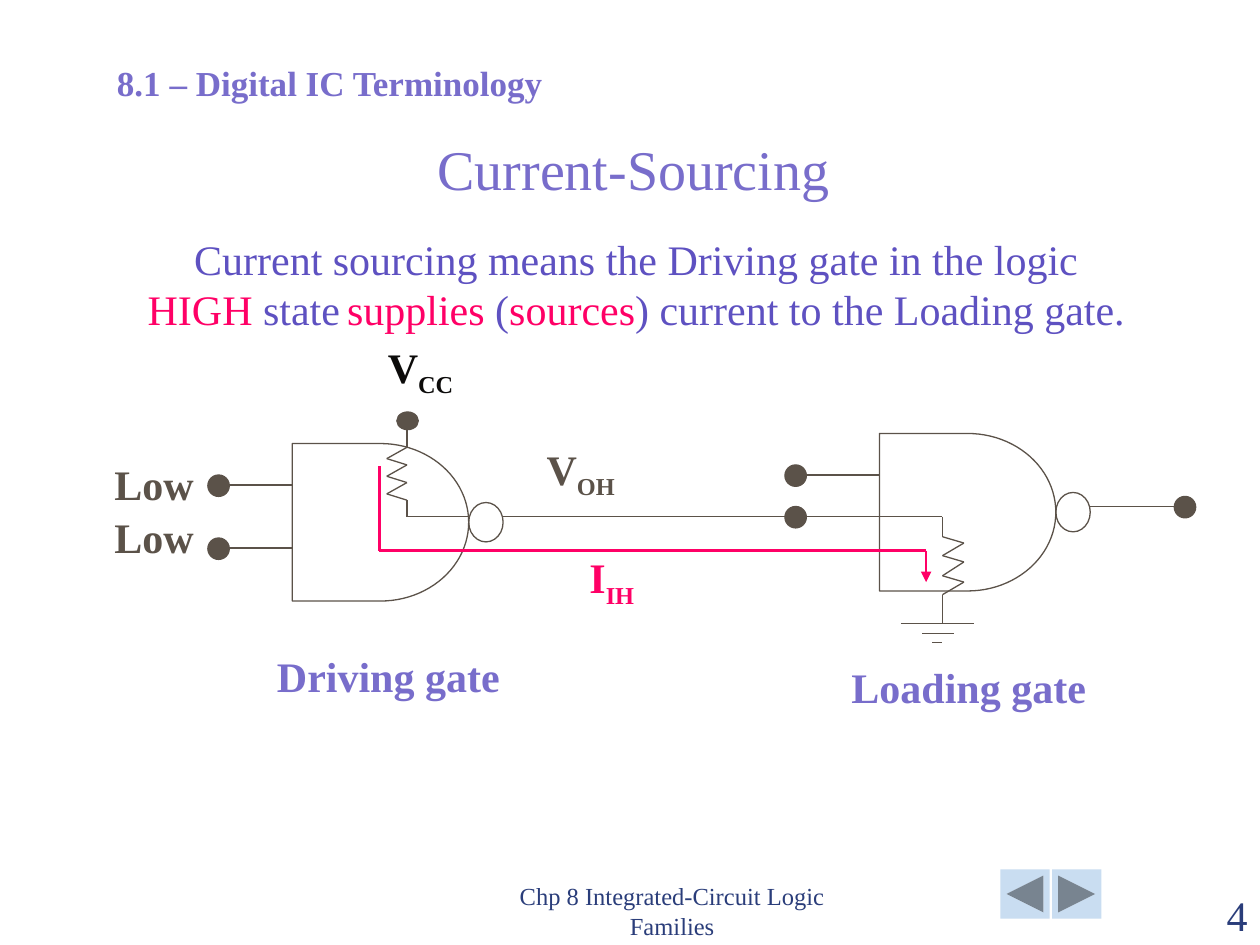
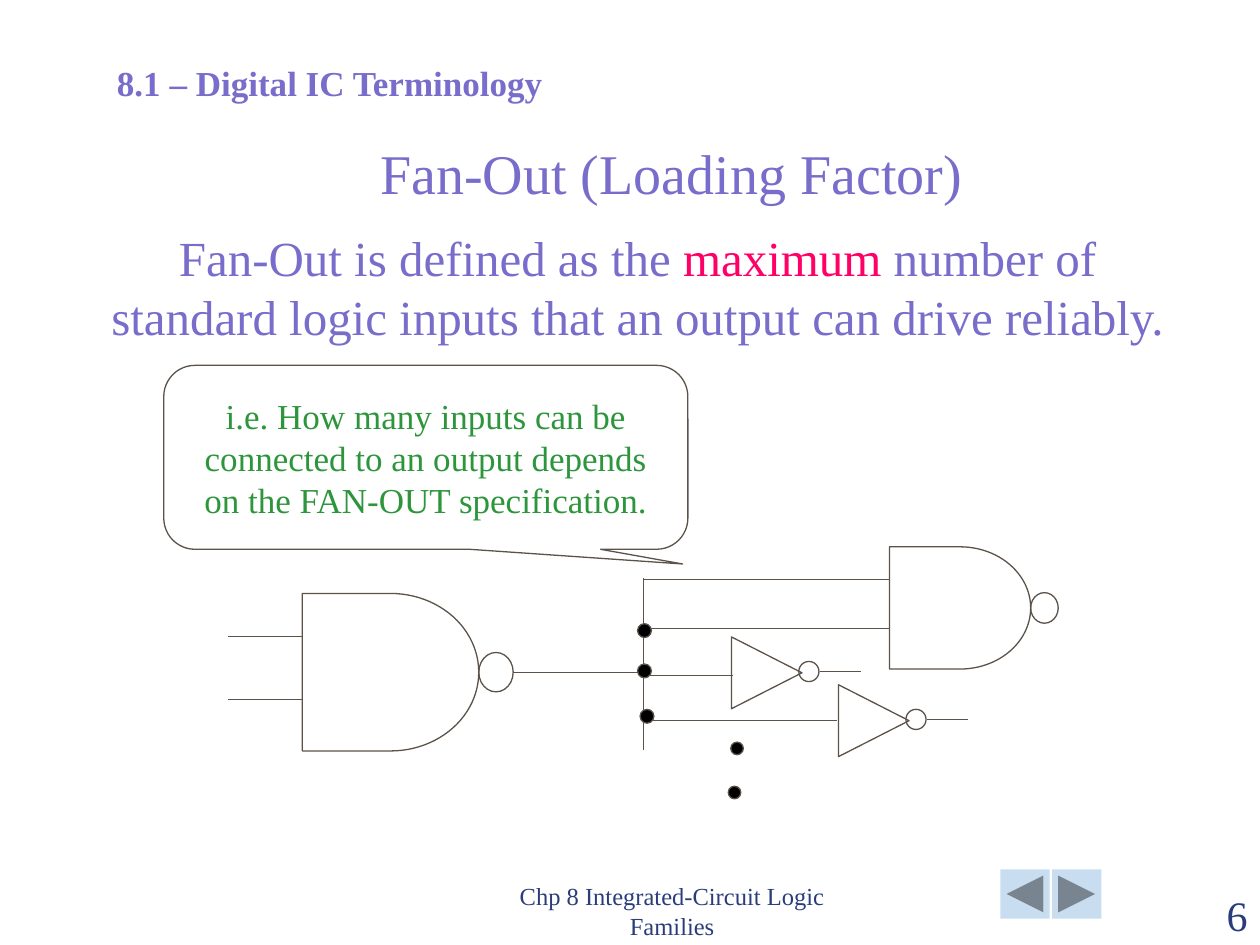
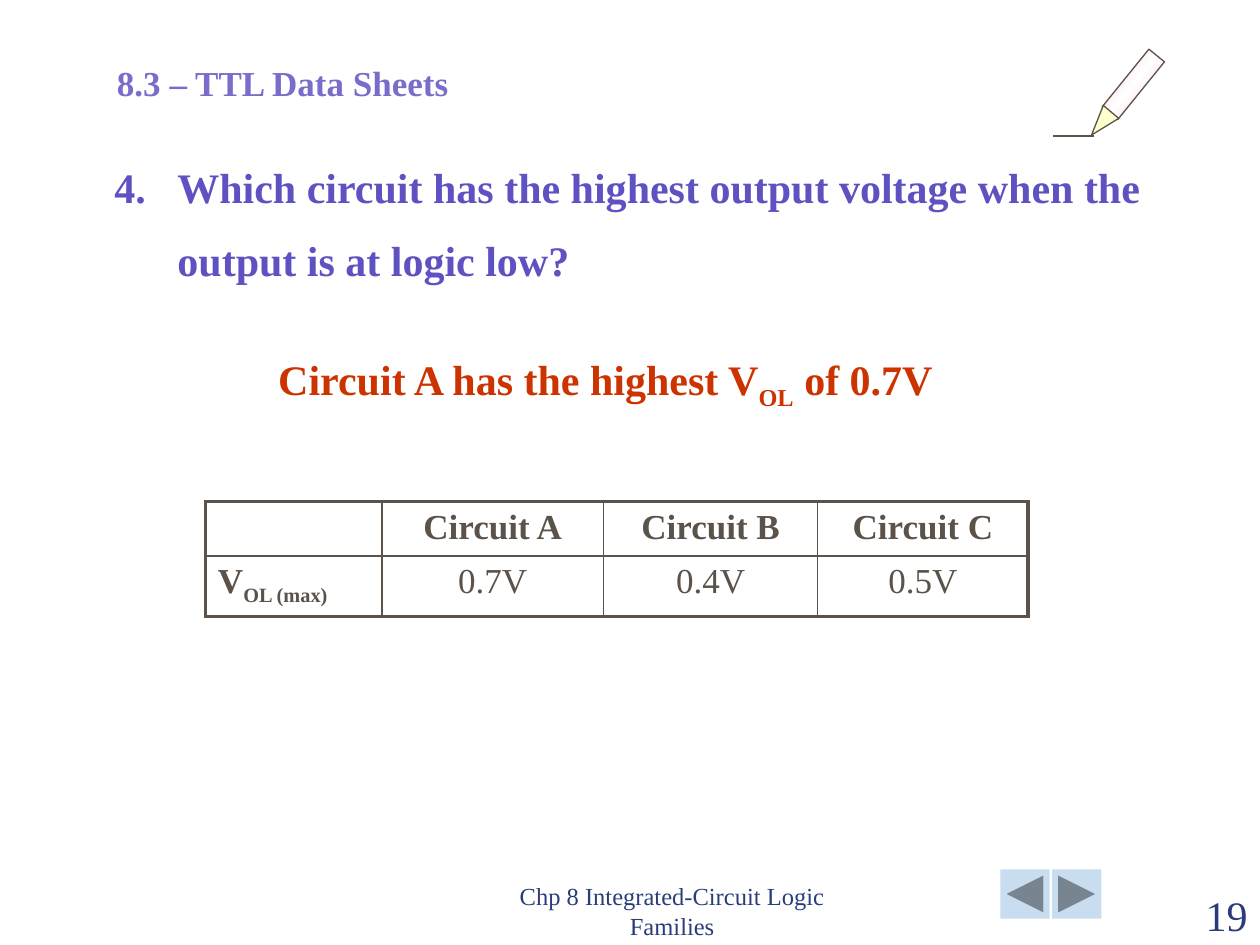
import copy
import itertools

import pptx
import pptx.dml.color
import pptx.enum.shapes
import pptx.enum.text
import pptx.oxml.ns
import pptx.oxml.xmlchemy
import pptx.util

Inches = pptx.util.Inches
RGBColor = pptx.dml.color.RGBColor
SHAPE = pptx.enum.shapes.MSO_SHAPE
ALIGN = pptx.enum.text.PP_ALIGN
ANCHOR = pptx.enum.text.MSO_ANCHOR

FONT = "Times New Roman"
LILAC = RGBColor(0x78, 0x6D, 0xCB)
VIOLET = RGBColor(0x5E, 0x51, 0xC1)
NAVY = RGBColor(0x2A, 0x3D, 0x7A)
PINK = RGBColor(0xFF, 0x00, 0x66)
PALE_PINK = RGBColor(0xFC, 0xC4, 0xDA)
RED = RGBColor(0xCC, 0x33, 0x00)
GREEN = RGBColor(0x2D, 0x95, 0x3C)
BROWN = RGBColor(0x5B, 0x52, 0x49)
BLACK = RGBColor(0x00, 0x00, 0x00)
INK = RGBColor(0x0C, 0x0B, 0x0A)
CREAM = RGBColor(0xFF, 0xFF, 0xCC)
WHITE = RGBColor(0xFF, 0xFF, 0xFF)
SKY = RGBColor(0xC9, 0xDD, 0xF1)

SUBSCRIPT = {"subscript": True}


class Deck:
    def __init__(self):
        self.presentation = pptx.Presentation()
        self.presentation.slide_width = Inches(10)
        self.presentation.slide_height = Inches(7.5)
        self.slide = None

    def new_slide(self, section, number):
        self.slide = self.presentation.slides.add_slide(self.presentation.slide_layouts[6])
        for left, button in ((7.94, SHAPE.ACTION_BUTTON_BACK_OR_PREVIOUS),
                             (8.35, SHAPE.ACTION_BUTTON_FORWARD_OR_NEXT)):
            self.shape(button, left, 6.9, 0.39, 0.39, fill=SKY, line=None)
        self.text(3.75, 7.01, 3.17, 0.5, [["Chp 8 Integrated-Circuit Logic Families"]],
                  size=14, colour=NAVY, align=ALIGN.CENTER, anchor=ANCHOR.BOTTOM)
        self.text(9, 7.01, 1, 0.5, [[str(number)]],
                  colour=NAVY, align=ALIGN.RIGHT, anchor=ANCHOR.BOTTOM)
        self.text(0.83, 0.44, 4.02, 0.43, [[section]], size=20, bold=True)

    def title(self, left, top, width, height, text, spacing=None):
        self.text(left, top, width, height, [[text]], size=32, align=ALIGN.CENTER,
                  anchor=ANCHOR.BOTTOM, spacing=spacing)

    def add_runs(self, paragraph, runs, size, colour, bold):
        for entry in runs:
            if entry == "\n":
                paragraph.add_line_break()
                continue
            text, change = (entry, {}) if isinstance(entry, str) else entry
            run = paragraph.add_run()
            run.text = text
            run.font.name = FONT
            run.font.size = pptx.util.Pt(change.get("size", size))
            run.font.bold = bold
            run.font.color.rgb = change.get("colour", colour)
            if change.get("subscript"):
                run._r.get_or_add_rPr().set("baseline", "-25000")

    def text(self, left, top, width, height, paragraphs, size=24, colour=LILAC, bold=False,
             align=ALIGN.LEFT, anchor=ANCHOR.TOP, spacing=None, wrap=True):
        box = self.slide.shapes.add_textbox(Inches(left), Inches(top), Inches(width), Inches(height))
        frame = box.text_frame
        frame.word_wrap = wrap
        frame.vertical_anchor = anchor
        if not wrap:
            frame.auto_size = pptx.enum.text.MSO_AUTO_SIZE.SHAPE_TO_FIT_TEXT
        for index, runs in enumerate(paragraphs):
            paragraph = frame.add_paragraph() if index else frame.paragraphs[0]
            paragraph.alignment = align
            if index:
                paragraph.space_before = pptx.util.Pt(13)
            if spacing:
                paragraph.line_spacing = spacing
            self.add_runs(paragraph, runs, size, colour, bold)
        return box

    def label(self, left, top, width, height, *paragraphs, colour=LILAC, spacing=None):
        return self.text(left, top, width, height, paragraphs, colour=colour, bold=True,
                         spacing=spacing, wrap=False)

    def shape(self, kind, left, top, width, height, fill=None, line=BROWN, rotation=0):
        shape = self.slide.shapes.add_shape(kind, Inches(left), Inches(top),
                                            Inches(width), Inches(height))
        shape.shadow.inherit = False
        shape.rotation = rotation
        if fill is None:
            shape.fill.background()
        else:
            shape.fill.solid()
            shape.fill.fore_color.rgb = fill
        if line is None:
            shape.line.fill.background()
        else:
            shape.line.color.rgb = line
            shape.line.width = pptx.util.Pt(0.75)
        return shape

    def gradient(self, shape, *colours):
        shape.fill.gradient()
        shape.fill.gradient_angle = 90
        stops = shape._element.spPr.find(".//" + pptx.oxml.ns.qn("a:gsLst"))
        for _ in colours[2:]:
            stops.insert(1, copy.deepcopy(stops[0]))
        for index, (stop, colour) in enumerate(zip(shape.fill.gradient_stops, colours)):
            stop.position = index / (len(colours) - 1)
            stop.color.rgb = colour

    def callout(self, left, top, width, height, text, adjustments):
        shape = self.shape(SHAPE.ROUNDED_RECTANGULAR_CALLOUT, left, top, width, height)
        for index, value in enumerate(adjustments):
            shape.adjustments[index] = value
        frame = shape.text_frame
        frame.word_wrap = True
        frame.vertical_anchor = ANCHOR.MIDDLE
        frame.paragraphs[0].alignment = ALIGN.CENTER
        self.add_runs(frame.paragraphs[0], [text], 20, GREEN, False)

    def wire(self, *points, colour=BROWN, width=0.75, arrow=False):
        for start, end in itertools.pairwise(points):
            connector = self.slide.shapes.add_connector(
                pptx.enum.shapes.MSO_CONNECTOR.STRAIGHT, *map(Inches, start + end))
            connector.line.color.rgb = colour
            connector.line.width = pptx.util.Pt(width)
            properties = connector._element.spPr
            properties.append(pptx.oxml.xmlchemy.OxmlElement("a:effectLst"))
        if arrow:
            head = pptx.oxml.xmlchemy.OxmlElement("a:tailEnd")
            head.set("type", "triangle")
            properties.find(pptx.oxml.ns.qn("a:ln")).append(head)

    def resistor(self, base, tip, heights):
        self.wire(*zip(itertools.cycle((base, tip)), heights))

    def dot(self, left, top, width, height=None, fill=BROWN):
        self.shape(SHAPE.OVAL, left, top, width, height or width, fill=fill)

    def nand_gate(self, left, top, width=1.4, height=1.25):
        bubble_width, bubble_height = width * 0.195, height * 0.25
        self.shape(SHAPE.FLOWCHART_DELAY, left, top, width, height)
        self.shape(SHAPE.OVAL, left + width, top + (height - bubble_height) / 2,
                   bubble_width, bubble_height)

    def inverter(self, left, top):
        self.shape(SHAPE.ISOSCELES_TRIANGLE, left, top, 0.57, 0.56, rotation=90)
        self.shape(SHAPE.OVAL, left + 0.54, top + 0.19, 0.16, 0.16)
        self.wire((left + 0.71, top + 0.27), (left + 1.03, top + 0.27))

    def border(self, cell, widths):
        properties = cell._tc.get_or_add_tcPr()
        for index, (side, width) in enumerate(widths.items()):
            line = pptx.oxml.xmlchemy.OxmlElement(f"a:ln{side}")
            line.set("w", str(pptx.util.Pt(width)))
            fill = pptx.oxml.xmlchemy.OxmlElement("a:solidFill")
            colour = pptx.oxml.xmlchemy.OxmlElement("a:srgbClr")
            colour.set("val", str(BROWN))
            fill.append(colour)
            line.append(fill)
            properties.insert(index, line)

    def table(self, left, top, columns, row_height, rows):
        last_row, last_column = len(rows) - 1, len(columns) - 1
        table = self.slide.shapes.add_table(
            len(rows), len(columns), Inches(left), Inches(top),
            Inches(sum(columns)), Inches(row_height * len(rows))).table
        table.first_row = table.horz_banding = False
        for column, width in zip(table.columns, columns):
            column.width = Inches(width)
        for row, column in itertools.product(range(len(rows)), range(len(columns))):
            cell = table.cell(row, column)
            cell.fill.background()
            paragraph = cell.text_frame.paragraphs[0]
            paragraph.alignment = ALIGN.CENTER if column else ALIGN.LEFT
            self.add_runs(paragraph, rows[row][column], 20, BROWN, row == 0 or column == 0)
            outer = {"L": column == 0, "R": column == last_column,
                     "T": row == 0, "B": row == last_row}
            self.border(cell, {side: 2.25 if edge else 1 for side, edge in outer.items()})


def current_sourcing(deck):
    deck.new_slide("8.1 – Digital IC Terminology", 4)
    deck.title(0.78, 0.9, 8.5, 0.75, "Current-Sourcing")
    pink = {"colour": PINK}
    deck.text(0.96, 1.8, 8.18, 0.88, [[
        "Current sourcing means the Driving gate in the logic", "\n",
        ("HIGH", pink), " state", (" ", {"size": 16}), ("supplies", pink), " (",
        ("sources", pink), ") current to the Loading gate."]],
        colour=VIOLET, align=ALIGN.CENTER)
    deck.label(2.1, 5.11, 1.97, 0.5, ["Driving gate"])
    deck.label(6.66, 5.2, 2.06, 0.5, ["Loading gate"])
    deck.label(0.81, 3.73, 0.83, 0.78, ["Low"], ["Low"], colour=BROWN, spacing=0.6)
    for left, top, width, name, index, colour in (
            (2.98, 2.66, 0.76, "V", "CC", INK),
            (4.24, 3.47, 0.79, "V", "OH", BROWN),
            (4.58, 4.33, 0.59, "I", "IH", PINK)):
        deck.label(left, top, width, 0.5, [name, (index, SUBSCRIPT)], colour=colour)

    deck.nand_gate(2.32, 3.52)
    for height in (3.85, 4.35):
        deck.wire((1.73, height), (2.32, height))
        deck.dot(1.65, height - 0.08, 0.17)
    deck.dot(3.15, 3.27, 0.17, 0.14)
    deck.wire((3.23, 3.34), (3.23, 3.55))
    deck.resistor(3.23, 3.07, (3.55, 3.64, 3.69, 3.78, 3.83, 3.92, 3.97))
    deck.wire((3.23, 3.97), (3.23, 4.1), (3.73, 4.1))

    deck.nand_gate(6.98, 3.44)
    deck.wire((3.99, 4.1), (6.23, 4.1))
    for height in (3.77, 4.1):
        deck.wire((6.4, height), (6.98, height))
        deck.dot(6.23, height - 0.08, 0.17)
    deck.wire((6.98, 4.1), (7.48, 4.1), (7.48, 4.26))
    deck.resistor(7.48, 7.65, (4.26, 4.31, 4.41, 4.46, 4.57, 4.62, 4.72))
    deck.wire((7.48, 4.72), (7.48, 4.95))
    for start, end, height in ((7.15, 7.73, 4.95), (7.32, 7.57, 5.03), (7.4, 7.48, 5.1)):
        deck.wire((start, height), (end, height))
    deck.wire((8.65, 4.02), (9.32, 4.02))
    deck.dot(9.32, 3.94, 0.17)
    deck.wire((3.01, 3.7), (3.01, 4.37), (7.35, 4.37), (7.35, 4.62),
              colour=PINK, width=1.5, arrow=True)


def fan_out(deck):
    deck.new_slide("8.1 – Digital IC Terminology", 6)
    deck.title(1.08, 0.75, 8.5, 0.92, "Fan-Out (Loading Factor)", spacing=0.7)
    deck.text(0.75, 1.76, 8.62, 1.27, [[
        "Fan-Out is defined as the ", ("maximum", {"colour": PINK}), " number of", "\n",
        "standard logic inputs that an output can drive reliably."]],
        size=28, align=ALIGN.CENTER)

    deck.nand_gate(2.4, 4.71)
    for height in (5.05, 5.55):
        deck.wire((1.81, height), (2.4, height))
    deck.wire((4.08, 5.34), (5.11, 5.34))
    deck.wire((5.11, 4.59), (5.11, 5.95))
    for height, end in ((4.6, 7.06), (4.99, 7.06), (5.36, 5.82), (5.72, 6.64)):
        deck.wire((5.11, height), (end, height))
    deck.nand_gate(7.06, 4.34, 1.12, 0.97)
    deck.inverter(5.8, 5.06)
    deck.inverter(6.65, 5.44)
    for left, top, size in ((5.06, 4.95, 0.11), (5.06, 5.27, 0.11), (5.08, 5.63, 0.11),
                            (5.8, 5.89, 0.1), (5.78, 6.24, 0.1)):
        deck.dot(left, top, size, fill=BLACK)
    deck.callout(1.3, 2.9, 4.16, 1.46,
                 "i.e. How many inputs can be connected to an output depends "
                 "on the FAN-OUT specification.", (0.49, 0.58, 0.17))


def data_sheets(deck):
    deck.new_slide("8.3 – TTL Data Sheets", 19)
    question = deck.label(0.81, 1.23, 8.43, 1.1,
                          ["4.\tWhich circuit has the highest output voltage when the"],
                          ["output is at logic low?"], colour=VIOLET)
    for paragraph, indent in zip(question.text_frame.paragraphs, (-0.5, 0)):
        properties = paragraph._p.get_or_add_pPr()
        properties.set("marL", str(Inches(0.5)))
        properties.set("indent", str(Inches(indent)))
    deck.label(2.11, 2.76, 5.49, 0.5,
               ["Circuit A has the highest V", ("OL", SUBSCRIPT), " of 0.7V"], colour=RED)
    deck.table(1.63, 3.98, (1.4, 1.76, 1.7, 1.67), 0.43, (
        ([], ["Circuit A"], ["Circuit B"], ["Circuit C"]),
        (["V", ("OL (max)", SUBSCRIPT)], ["0.7V"], ["0.4V"], ["0.5V"])))

    pencil = deck.shape(SHAPE.RECTANGLE, 8.7, 0.59, 0.59, 0.16, rotation=309)
    deck.gradient(pencil, PALE_PINK, WHITE, PALE_PINK)
    deck.shape(SHAPE.ISOSCELES_TRIANGLE, 8.66, 0.86, 0.16, 0.24, fill=CREAM, rotation=220.1)
    deck.wire((8.36, 1.08), (8.68, 1.08))


def main():
    deck = Deck()
    current_sourcing(deck)
    fan_out(deck)
    data_sheets(deck)
    deck.presentation.save("out.pptx")


if __name__ == "__main__":
    main()
